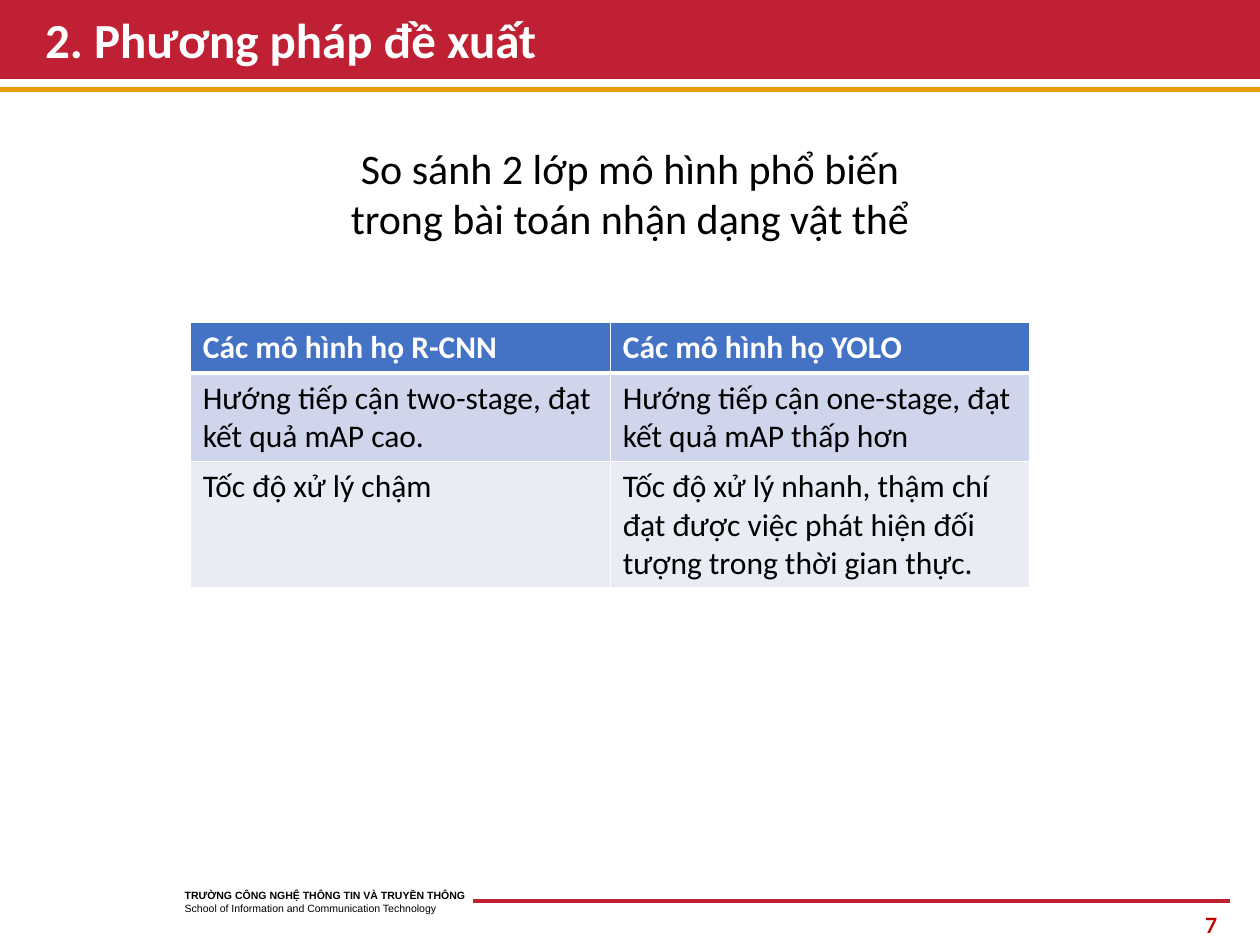
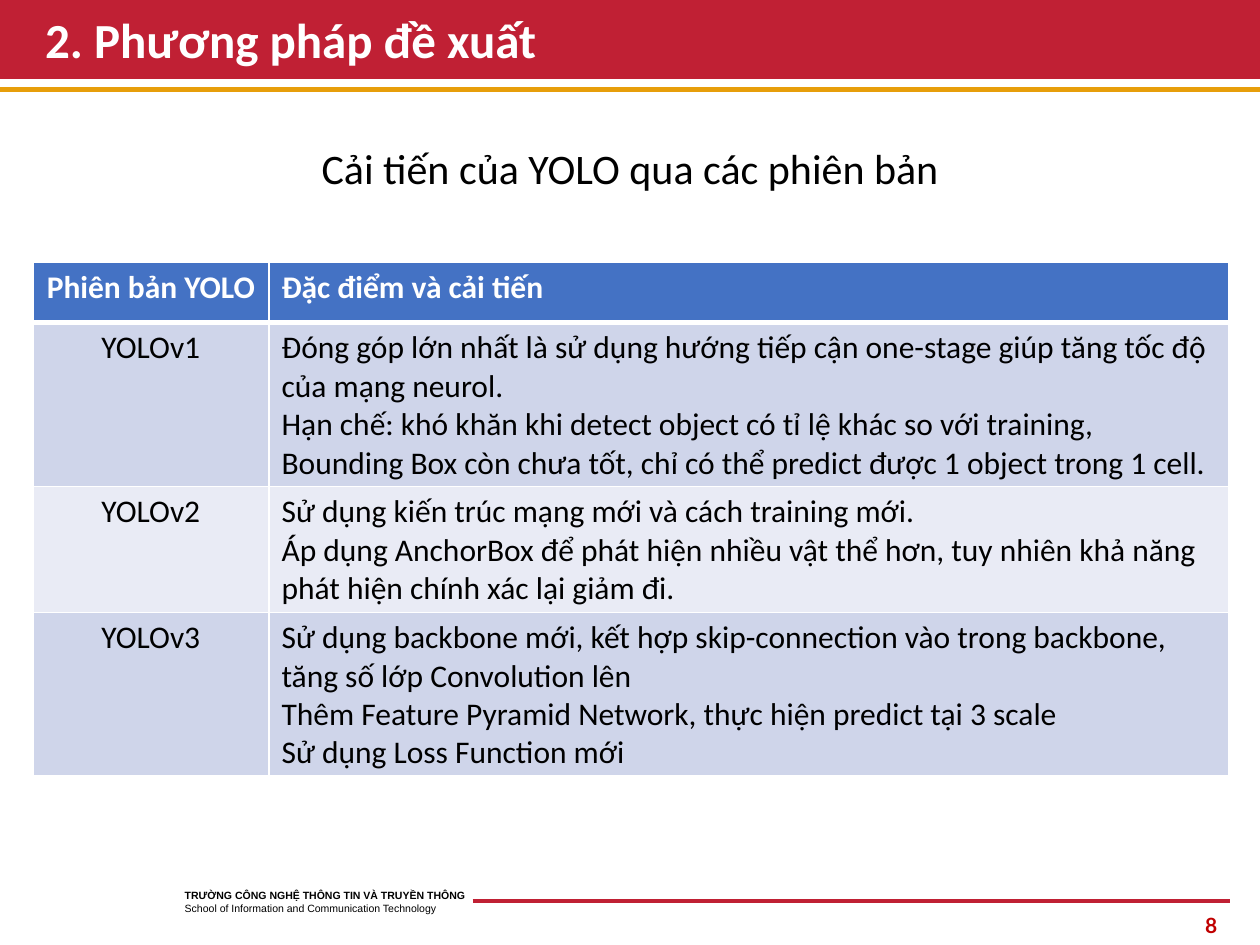
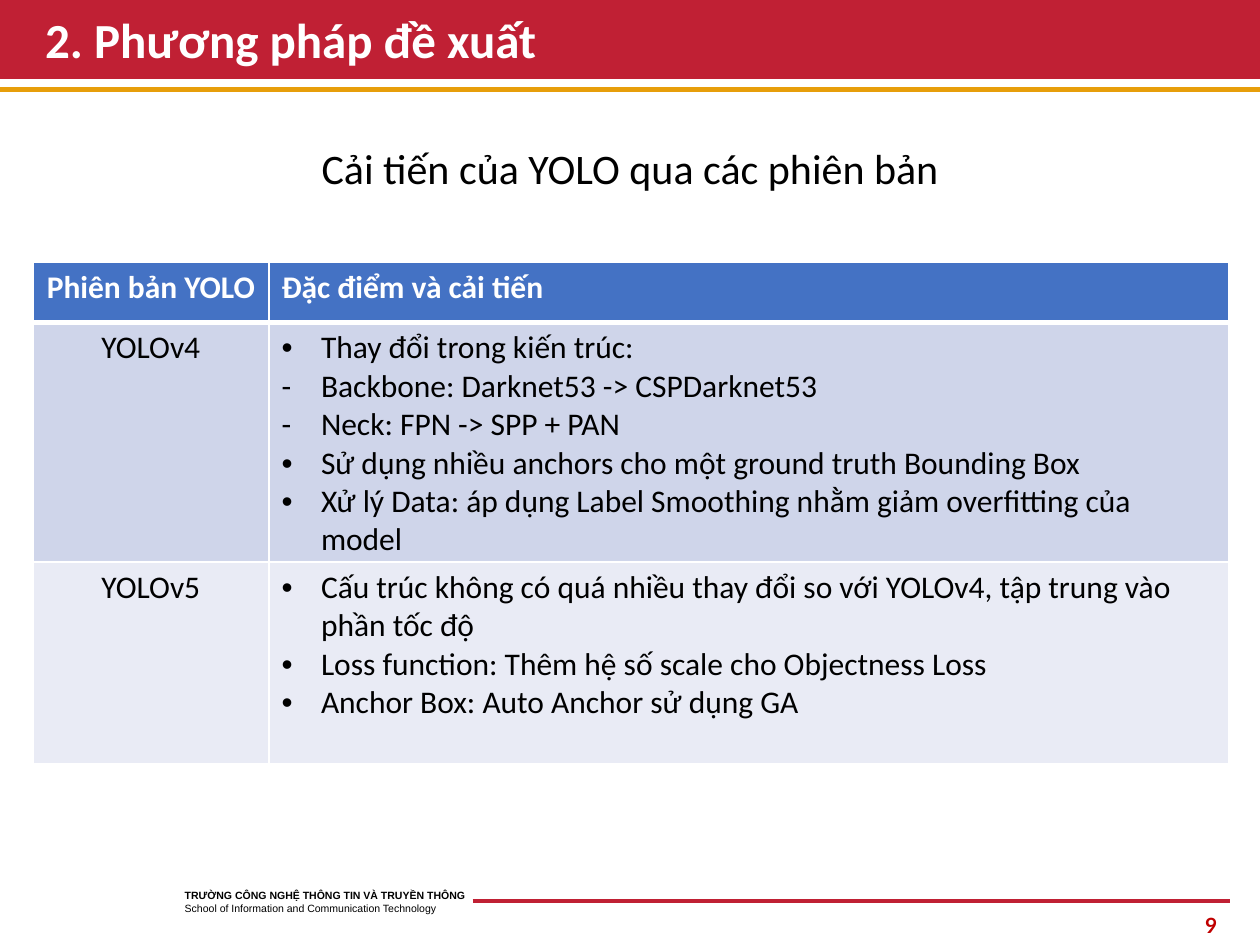
"""Build three slides that compare object detection models."""
import lxml.etree
import pptx
import pptx.dml.color
import pptx.enum.shapes
import pptx.enum.text
import pptx.oxml.ns
import pptx.util

Pt = pptx.util.Pt
RGBColor = pptx.dml.color.RGBColor
ALIGN = pptx.enum.text.PP_ALIGN
ANCHOR = pptx.enum.text.MSO_ANCHOR
qn = pptx.oxml.ns.qn

RED = RGBColor(0xC0, 0x20, 0x34)
GOLD = RGBColor(0xE7, 0x9E, 0x0A)
PAGE = RGBColor(0xC0, 0x00, 0x00)
BLUE = RGBColor(0x44, 0x72, 0xC4)
BANDS = RGBColor(0xCF, 0xD5, 0xEA), RGBColor(0xE9, 0xEB, 0xF5)
WHITE = RGBColor(0xFF, 0xFF, 0xFF)
BLACK = RGBColor(0, 0, 0)

WIDTH, HEIGHT = 720, 540
TITLE = "2. Phương pháp đề xuất"
SCHOOL = "TRƯỜNG CÔNG NGHỆ THÔNG TIN VÀ TRUYỀN THÔNG"
ENGLISH = "School of Information and Communication Technology"
INDENT = 22.5
YOLO = "Cải tiến của YOLO qua các phiên bản"
HEADS = "Phiên bản YOLO", ["Đặc điểm và cải tiến"]
WIDE = (18.75, 149.75), (135, 548.25)

PAGES = [
    ("So sánh 2 lớp mô hình phổ biến trong bài toán nhận dạng vật thể",
     (108.75, 184), (240, 240), (29.2, 50.5, 72), False, [
         (["Các mô hình họ R-CNN"], ["Các mô hình họ YOLO"]),
         (["Hướng tiếp cận two-stage, đạt kết quả mAP cao."],
          ["Hướng tiếp cận one-stage, đạt kết quả mAP thấp hơn"]),
         (["Tốc độ xử lý chậm"],
          ["Tốc độ xử lý nhanh, thậm chí đạt được việc phát hiện đối tượng "
           "trong thời gian thực."])]),
    (YOLO, *WIDE, (34.5, 93.5, 72, 93.5), True, [
        (["Phiên bản YOLO"], ["Đặc điểm và cải tiến"]),
        (["YOLOv1"],
         ["Đóng góp lớn nhất là sử dụng hướng tiếp cận one-stage giúp tăng "
          "tốc độ của mạng neurol.",
          "Hạn chế: khó khăn khi detect object có tỉ lệ khác so với training, "
          "Bounding Box còn chưa tốt, chỉ có thể predict được 1 object trong "
          "1 cell."]),
        (["YOLOv2"],
         ["Sử dụng kiến trúc mạng mới và cách training mới.",
          "Áp dụng AnchorBox để phát hiện nhiều vật thể hơn, tuy nhiên khả "
          "năng phát hiện chính xác lại giảm đi."]),
        (["YOLOv3"],
         ["Sử dụng backbone mới, kết hợp skip-connection vào trong backbone, "
          "tăng số lớp Convolution lên",
          "Thêm Feature Pyramid Network, thực hiện predict tại 3 scale",
          "Sử dụng Loss Function mới"])]),
    (YOLO, *WIDE, (34.5, 136.5, 115.5), True, [
        (["Phiên bản YOLO"], ["Đặc điểm và cải tiến"]),
        (["YOLOv4"],
         [("•", "Thay đổi trong kiến trúc:"),
          ("-", "Backbone: Darknet53 -> CSPDarknet53"),
          ("-", "Neck: FPN -> SPP + PAN"),
          ("•", "Sử dụng nhiều anchors cho một ground truth Bounding Box"),
          ("•", "Xử lý Data: áp dụng Label Smoothing nhằm giảm overfitting "
                "của model")]),
        (["YOLOv5"],
         [("•", "Cấu trúc không có quá nhiều thay đổi so với YOLOv4, tập "
                "trung vào phần tốc độ"),
          ("•", "Loss function: Thêm hệ số scale cho Objectness Loss"),
          ("•", "Anchor Box: Auto Anchor sử dụng GA")])]),
]


def style(font, size, color, bold=False, name="Calibri"):
    """Set the look of a font."""
    font.name, font.size, font.bold = name, Pt(size), bold
    font.color.rgb = color


def rule(slide, left, right, y, color, weight):
    """Draw a level line without a shadow."""
    line = slide.shapes.add_connector(
        pptx.enum.shapes.MSO_CONNECTOR.STRAIGHT,
        Pt(left), Pt(y), Pt(right), Pt(y))
    line.line.color.rgb = color
    line.line.width = Pt(weight)
    lxml.etree.SubElement(line._element.spPr, qn("a:effectLst"))


def label(slide, box, text="", align=ALIGN.LEFT, anchor=ANCHOR.TOP):
    """Add a wrapped text box and return its paragraph."""
    frame = slide.shapes.add_textbox(*map(Pt, box)).text_frame
    frame.word_wrap = True
    frame.vertical_anchor = anchor
    para = frame.paragraphs[0]
    para.text, para.alignment = text, align
    return para


def header(slide, box):
    """Draw the red band, the gold line and the title."""
    left, top, width, height = box
    rule(slide, left, left + width, top + height / 2, RED, height)
    rule(slide, left, left + width, top + height + 6, GOLD, 3)
    para = label(slide, (left + 18.75, top + 6.5, width - 37, 35.25), TITLE,
                 anchor=ANCHOR.MIDDLE)
    para.line_spacing = 0.9
    style(para.font, 28, WHITE, True)


def footer(slide, box, number):
    """Draw the school name, the red line and the page number."""
    left, top, width, height = box
    para = label(slide, (left, top, 208, height))
    for text, bold in (SCHOOL, True), (ENGLISH, False):
        if para.runs:
            para.add_line_break()
        run = para.add_run()
        run.text = text
        style(run.font, 6, BLACK, bold, "Arial")
    right = left + width
    rule(slide, left + 171.5, right, top + 10, RED, 2.25)
    para = label(slide, (right - 162, top + 13, 162, height), str(number),
                 ALIGN.RIGHT, ANCHOR.MIDDLE)
    style(para.font, 12, PAGE, True, "Lato")


def bullet(para, mark):
    """Give a paragraph a hanging bullet."""
    props = para._p.get_or_add_pPr()
    props.set("marL", str(Pt(INDENT)))
    props.set("indent", str(-Pt(INDENT)))
    face = "Arial" if mark == "•" else "Calibri"
    lxml.etree.SubElement(props, qn("a:buFont"), typeface=face)
    lxml.etree.SubElement(props, qn("a:buChar"), char=mark)


def border(cell, row):
    """Draw white borders, thick below the head row."""
    props = cell._tc.get_or_add_tcPr()
    thick = {(0, "B"), (1, "T")}
    for side in "LRTB":
        weight = 3 if (row, side) in thick else 1
        line = lxml.etree.SubElement(
            props, qn("a:ln" + side), w=str(Pt(weight)))
        fill = lxml.etree.SubElement(line, qn("a:solidFill"))
        lxml.etree.SubElement(fill, qn("a:srgbClr"), val=str(WHITE))


def fill_cell(cell, row, items, align):
    """Fill one cell with its paragraphs and colours."""
    border(cell, row)
    cell.fill.solid()
    cell.fill.fore_color.rgb = BANDS[(row - 1) % 2] if row else BLUE
    frame = cell.text_frame
    for index, item in enumerate(items):
        para = frame.add_paragraph() if index else frame.paragraphs[0]
        mark, text = item if isinstance(item, tuple) else (None, item)
        para.text, para.alignment = text, align
        if mark:
            bullet(para, mark)
        style(para.font, 18, BLACK if row else WHITE, not row)


def grid(slide, spot, widths, heights, center, rows):
    """Add the table of models at the given spot."""
    table = slide.shapes.add_table(
        len(rows), len(widths), *map(Pt, spot),
        Pt(sum(widths)), Pt(sum(heights))).table
    table.first_row = table.horz_banding = False
    for column, width in zip(table.columns, widths):
        column.width = Pt(width)
    for row, (height, cells) in enumerate(zip(heights, rows)):
        table.rows[row].height = Pt(height)
        for col, items in enumerate(cells):
            align = ALIGN.CENTER if center and col == 0 else ALIGN.LEFT
            fill_cell(table.cell(row, col), row, items, align)


def page(deck, number, topic, *table):
    """Build one slide with a topic and a table."""
    slide = deck.slides.add_slide(deck.slide_layouts[6])
    header(slide, (0, 0, WIDTH, 45))
    footer(slide, (98.5, 504.75, 604.25, 21.5), number)
    para = label(slide, (174, 77.75, 372, 36), topic, ALIGN.CENTER)
    style(para.font, 24, BLACK)
    grid(slide, *table)


def main():
    """Build and save the deck."""
    deck = pptx.Presentation()
    deck.slide_width, deck.slide_height = Pt(WIDTH), Pt(HEIGHT)
    for number, parts in enumerate(PAGES, 7):
        page(deck, number, *parts)
    deck.save("out.pptx")


if __name__ == "__main__":
    main()
